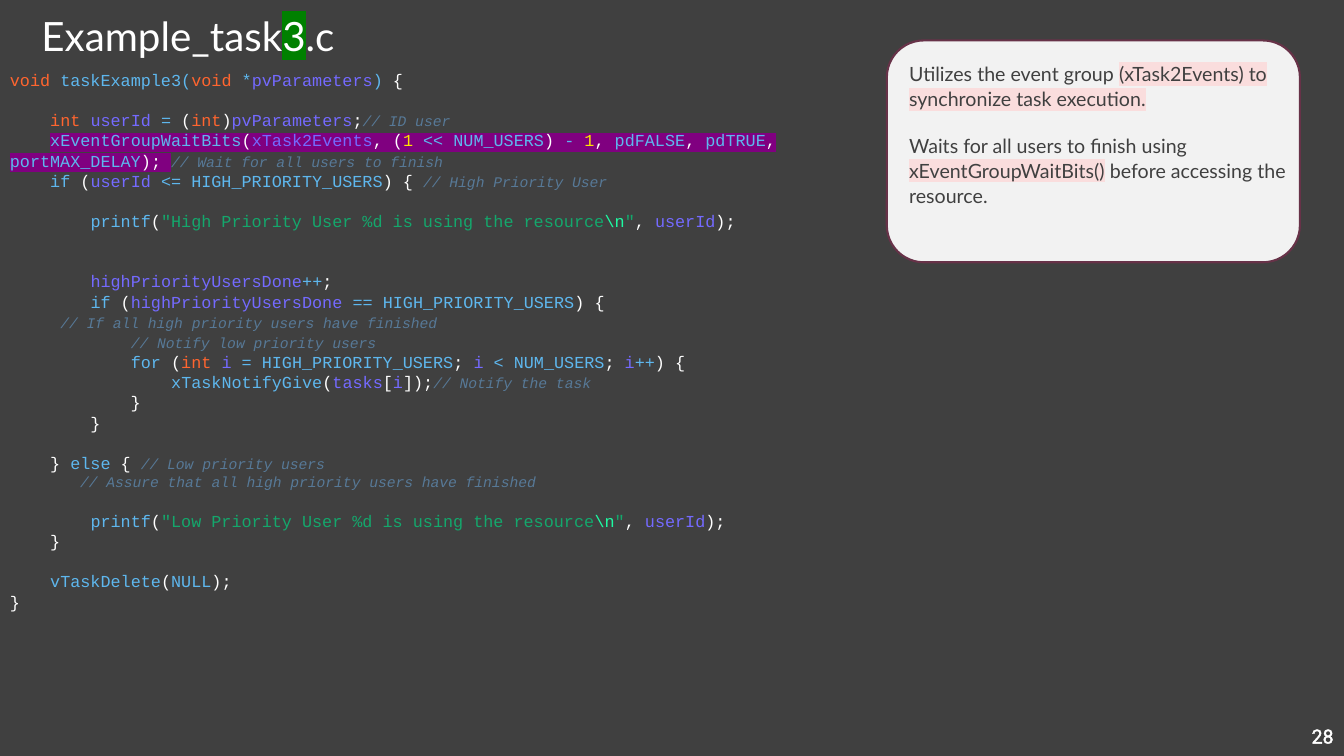
from dataclasses import dataclass

from lxml.etree import SubElement
from pptx import Presentation
from pptx.dml.color import RGBColor
from pptx.enum.shapes import MSO_SHAPE as Shape
from pptx.enum.text import MSO_ANCHOR as Anchor, MSO_AUTO_SIZE as AutoSize, PP_ALIGN as Align
from pptx.oxml.ns import qn
from pptx.util import Cm, Pt

TITLE = [("Example_task", None), ("3", "008000"), (".c", None)]
PAGE = "28"
NOTES = [
    [("Utilizes the event group ", None),
     ("(xTask2Events) to synchronize task execution.", "FADDDD")],
    [("Waits for all users to finish using ", None),
     ("xEventGroupWaitBits()", "FADDDD"),
     (" before accessing the resource.", None)],
]


@dataclass
class Line:
    indent: str
    tokens: list
    gap: int = 0
    mark: str = None
    small: bool = False


CODE = [
    Line("", [("type", "void "), ("call", "taskExample3("), ("type", "void"), ("call", " *"),
              ("name", "pvParameters"), ("call", ")"), ("plain", " {")]),
    Line(" " * 4, [("type", "int "), ("name", "userId "), ("call", "="), ("plain", " ("),
                   ("type", "int"), ("plain", ")"), ("name", "pvParameters"), ("plain", ";"),
                   ("comment", "// ID user")], gap=1),
    Line(" " * 4, [("call", "xEventGroupWaitBits"), ("plain", "("), ("name", "xTask2Events"),
                   ("plain", ", ("), ("number", "1"), ("call", " << NUM_USERS"), ("plain", ") "),
                   ("call", "- "), ("number", "1"), ("plain", ", "), ("call", "pdFALSE"),
                   ("plain", ", "), ("call", "pdTRUE"), ("plain", ", "),
                   ("call", "portMAX_DELAY"), ("plain", "); "),
                   ("comment", "// Wait for all users to finish")], mark="800080"),
    Line(" " * 4, [("call", "if"), ("plain", " ("), ("name", "userId "),
                   ("call", "<= HIGH_PRIORITY_USERS"), ("plain", ") { "),
                   ("comment", "// High Priority User")]),
    Line(" " * 8, [("call", "printf"), ("plain", "("),
                   ("string", '"High Priority User %d is using the resource'),
                   ("escape", "\\n"), ("string", '"'), ("plain", ", "), ("name", "userId"),
                   ("plain", ");")], gap=1),
    Line(" " * 8, [("name", "highPriorityUsersDone"), ("call", "++"), ("plain", ";")], gap=2),
    Line(" " * 8, [("call", "if"), ("plain", " ("), ("name", "highPriorityUsersDone "),
                   ("call", "== HIGH_PRIORITY_USERS"), ("plain", ") {")]),
    Line("\t", [("comment", "// If all high priority users have finished")]),
    Line(" " * 12, [("comment", "// Notify low priority users")]),
    Line(" " * 12, [("call", "for"), ("plain", " ("), ("type", "int "), ("name", "i "),
                    ("call", "= HIGH_PRIORITY_USERS"), ("plain", "; "), ("name", "i "),
                    ("call", "< NUM_USERS"), ("plain", "; "), ("name", "i"), ("call", "++"),
                    ("plain", ") {")]),
    Line(" " * 16, [("call", "xTaskNotifyGive"), ("plain", "("), ("name", "tasks"),
                    ("plain", "["), ("name", "i"), ("plain", "]);"),
                    ("comment", "// Notify the task")]),
    Line(" " * 12, [("plain", "}")]),
    Line(" " * 8, [("plain", "}")]),
    Line(" " * 4, [("plain", "} "), ("call", "else"), ("plain", " { "),
                   ("comment", "// Low priority users")], gap=1),
    Line(" " * 8, [("comment", "// Assure that all high priority users have finished")],
         small=True),
    Line(" " * 8, [("call", "printf"), ("plain", "("),
                   ("string", '"Low Priority User %d is using the resource'),
                   ("escape", "\\n"), ("string", '"'), ("plain", ", "), ("name", "userId"),
                   ("plain", ");")], gap=1),
    Line(" " * 4, [("plain", "}")]),
    Line(" " * 4, [("call", "vTaskDelete"), ("plain", "("), ("call", "NULL"), ("plain", ");")],
         gap=1),
    Line("", [("plain", "}")]),
]


class Theme:
    background, card, card_line, white = "404040", "F2F2F2", "673248", "FFFFFF"
    syntax = {"plain": "FFFFFF", "type": "FF652F", "call": "5EB7EE", "name": "746AFF",
              "number": "FFE400", "string": "14A76C", "escape": "1EFAA2", "comment": "577997"}
    title_font, code_font, page_font = "Lato", "Courier New", "Roboto"
    title_size, body_size, code_size, comment_size = 28.8, 14, 12, 10.5
    code_leading = 1.2


def rgb(value):
    return RGBColor.from_string(value)


def add_run(p, text, font, size, color, mark=None, italic=False):
    r = p.add_run()
    r.text = text
    r.font.name, r.font.size, r.font.italic = font, Pt(size), italic
    r.font.color.rgb = rgb(color)
    if mark:
        rPr = r._r.get_or_add_rPr()
        highlight = SubElement(rPr, qn("a:highlight"))
        SubElement(highlight, qn("a:srgbClr")).set("val", mark)
        rPr.find(qn("a:solidFill")).addnext(highlight)
    return r


def add_text(s, left, top, width, height):
    tf = s.shapes.add_textbox(Cm(left), Cm(top), Cm(width), Cm(height)).text_frame
    tf.word_wrap = True
    return tf


def paragraphs(tf, items):
    for i, item in enumerate(items):
        yield (tf.add_paragraph() if i else tf.paragraphs[0]), item


def add_code(s):
    tf = add_text(s, 0, 1.63, 22.15, 14.76)
    for p, line in paragraphs(tf, CODE):
        size = Theme.comment_size if line.small else Theme.code_size
        p.line_spacing = Pt(size * Theme.code_leading)
        if line.gap:
            p.space_before = Pt(line.gap * Theme.code_size * Theme.code_leading)
        if line.indent:
            add_run(p, line.indent, Theme.code_font, size, Theme.white)
        for kind, text in line.tokens:
            comment = kind == "comment"
            add_run(p, text, Theme.code_font, Theme.comment_size if comment else size,
                    Theme.syntax[kind], None if comment else line.mark, comment)


def add_title(s):
    sp = s.shapes.title
    sp.left, sp.top, sp.width, sp.height = Cm(0.79), Cm(0.48), Cm(10.41), Cm(1.14)
    tf = sp.text_frame
    tf.auto_size, tf.vertical_anchor, tf.word_wrap = AutoSize.NONE, Anchor.BOTTOM, True
    p = tf.paragraphs[0]
    p.alignment = Align.LEFT
    for text, mark in TITLE:
        add_run(p, text, Theme.title_font, Theme.title_size, Theme.white, mark)


def add_notes_card(s):
    sp = s.shapes.add_shape(Shape.ROUNDED_RECTANGLE, Cm(22.35), Cm(1.02), Cm(10.41), Cm(5.59))
    sp.shadow.inherit = False
    sp.fill.solid()
    sp.fill.fore_color.rgb = rgb(Theme.card)
    sp.line.color.rgb = rgb(Theme.card_line)
    sp.line.width = Pt(1.5)
    tf = add_text(s, 22.66, 1.4, 10.41, 5.94)
    for p, note in paragraphs(tf, NOTES):
        p.line_spacing, p.space_after = 1.07, Pt(15)
        for text, mark in note:
            add_run(p, text, Theme.title_font, Theme.body_size, Theme.background, mark)


def add_page_number(s):
    tf = add_text(s, 32.41, 18.03, 1.45, 1.02)
    tf.vertical_anchor = Anchor.MIDDLE
    p = tf.paragraphs[0]
    p.alignment = Align.RIGHT
    r = add_run(p, PAGE, Theme.page_font, Theme.body_size, Theme.white)
    rPr = r._r.get_or_add_rPr()
    outline = SubElement(rPr, qn("a:ln"), w=str(Pt(0.75)))
    SubElement(SubElement(outline, qn("a:solidFill")), qn("a:srgbClr")).set("val", Theme.white)
    rPr.insert(0, outline)


def main():
    prs = Presentation()
    prs.slide_width, prs.slide_height = Cm(33.87), Cm(19.05)
    s = prs.slides.add_slide(prs.slide_layouts[5])
    s.background.fill.solid()
    s.background.fill.fore_color.rgb = rgb(Theme.background)
    add_page_number(s)
    add_code(s)
    add_title(s)
    add_notes_card(s)
    prs.save("out.pptx")


if __name__ == "__main__":
    main()
